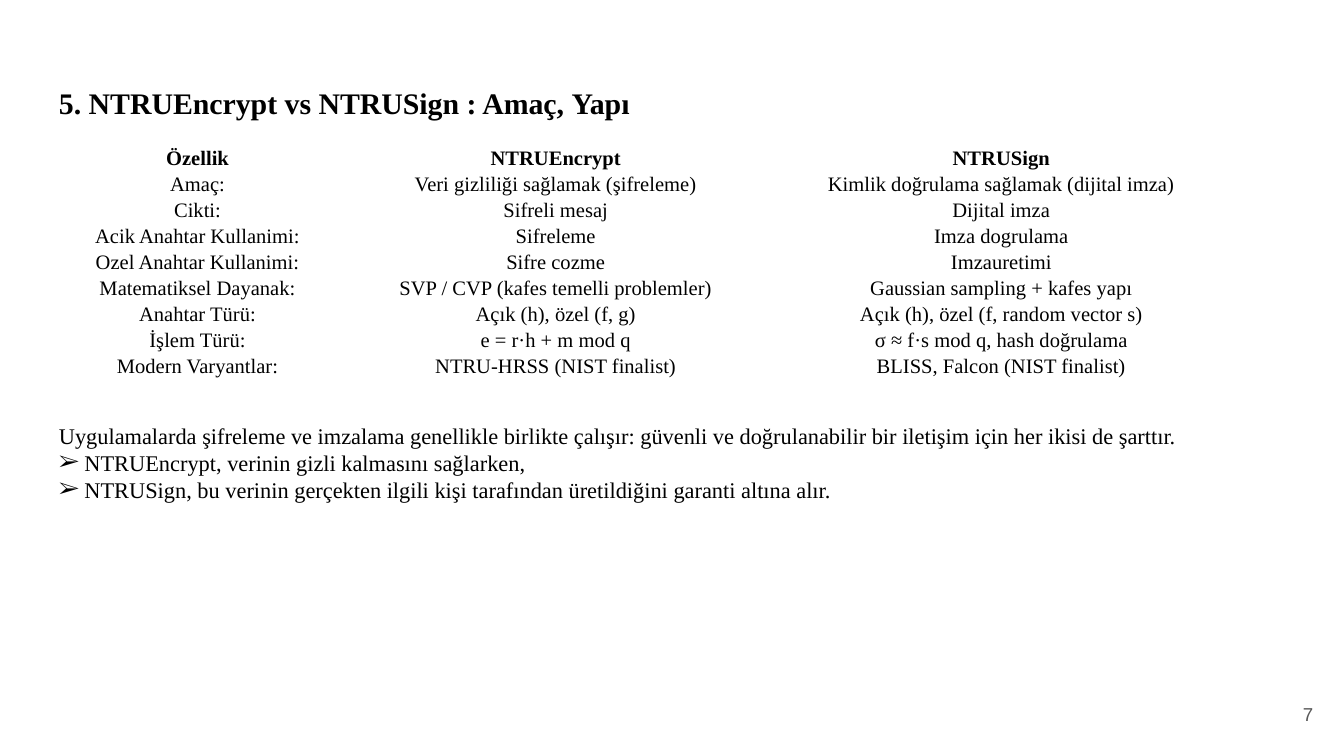
"""Build a slide that compares NTRUEncrypt with NTRUSign."""
from lxml.etree import SubElement
from pptx import Presentation
from pptx.dml.color import RGBColor
from pptx.enum.text import MSO_ANCHOR as Anchor, MSO_AUTO_SIZE as AutoSize, PP_ALIGN as Align
from pptx.oxml.ns import qn
from pptx.util import Inches, Pt

BLACK = RGBColor(0x00, 0x00, 0x00)
GRAY = RGBColor(0x59, 0x59, 0x59)
SERIF = "Times New Roman"
WIDTH = Inches(10)
HEIGHT = WIDTH * 9 // 16
HARD_SPACE = chr(160)
PLAIN_TABLE = "{2D5ABB26-0587-4C30-8999-92F81FD0307C}"

COLUMN_SHARES = (22, 31.3, 35)
ROW_SHARE = 3.2
ROWS = (
    ("Özellik", "NTRUEncrypt", "NTRUSign"),
    ("Amaç:", "Veri gizliliği sağlamak (şifreleme)", "Kimlik doğrulama sağlamak (dijital imza)"),
    ("Cikti:", "Sifreli mesaj", "Dijital imza"),
    ("Acik Anahtar Kullanimi:", "Sifreleme", "Imza dogrulama"),
    ("Ozel Anahtar Kullanimi:", "Sifre cozme", "Imzauretimi"),
    ("Matematiksel Dayanak:", "SVP / CVP (kafes temelli problemler)", "Gaussian sampling + kafes yapı"),
    ("Anahtar Türü:", "Açık (h), özel (f, g)", "Açık (h), özel (f, random vector s)"),
    ("İşlem Türü:", "e = r·h + m mod q", "σ ≈ f·s mod q, hash doğrulama"),
    ("Modern Varyantlar:", "NTRU-HRSS (NIST finalist)", "BLISS, Falcon (NIST finalist)"),
)
SUMMARY = (
    "Uygulamalarda şifreleme ve imzalama genellikle birlikte çalışır: "
    "güvenli ve doğrulanabilir bir iletişim için her ikisi de şarttır."
)
ROLES = (
    "NTRUEncrypt, verinin gizli kalmasını sağlarken,",
    "NTRUSign, bu verinin gerçekten ilgili kişi tarafından üretildiğini garanti altına alır.",
)


def across(share):
    """Turn a percentage of the slide width into a length."""
    return int(WIDTH * share / 100)


def down(share):
    """Turn a percentage of the slide height into a length."""
    return int(HEIGHT * share / 100)


def unbroken(text):
    """Join the words of a text with hard spaces."""
    return text.replace(" ", HARD_SPACE)


def add_bullet(p, char="➢", indent=Inches(0.19)):
    """Give a paragraph a hanging bullet."""
    pPr = p._p.get_or_add_pPr()
    pPr.set("marL", str(indent))
    pPr.set("indent", str(-indent))
    color = SubElement(SubElement(pPr, qn("a:buClr")), qn("a:srgbClr"))
    color.set("val", str(BLACK))
    SubElement(pPr, qn("a:buFont")).set("typeface", SERIF)
    SubElement(pPr, qn("a:buChar")).set("char", char)


def write(p, text, size=12, font=SERIF, color=BLACK, bold=False, align=Align.LEFT, bullet=False):
    """Write formatted text into a paragraph."""
    if bullet:
        add_bullet(p)
    p.alignment = align
    r = p.add_run()
    r.text = text
    r.font.size, r.font.name, r.font.bold = Pt(size), font, bold
    r.font.color.rgb = color


def add_box(slide, x, y, w, h, inset=0.1, anchor=Anchor.TOP, wrap=True):
    """Add a text box placed by slide percentages and return its text frame."""
    tf = slide.shapes.add_textbox(across(x), down(y), across(w), down(h)).text_frame
    tf.word_wrap, tf.vertical_anchor = wrap, anchor
    tf.margin_left = tf.margin_right = Inches(0.1)
    tf.margin_top = tf.margin_bottom = Inches(inset)
    return tf


def add_comparison(slide, x, y):
    """Add the comparison table without fills or borders."""
    w, h = across(sum(COLUMN_SHARES)), down(ROW_SHARE * len(ROWS))
    table = slide.shapes.add_table(
        len(ROWS), len(COLUMN_SHARES), across(x), down(y), w, h
    ).table
    table.first_row = table.horz_banding = False
    table._tbl.tblPr.find(qn("a:tableStyleId")).text = PLAIN_TABLE
    for column, share in zip(table.columns, COLUMN_SHARES):
        column.width = across(share)
    for i, (row, texts) in enumerate(zip(table.rows, ROWS)):
        row.height = down(ROW_SHARE)
        for cell, text in zip(row.cells, texts):
            cell.fill.background()
            cell.vertical_anchor = Anchor.BOTTOM
            cell.margin_left = cell.margin_right = cell.margin_top = Inches(0.01)
            cell.margin_bottom = 0
            write(cell.text_frame.paragraphs[0], text, size=11, bold=i == 0, align=Align.CENTER)


def add_title(slide, text):
    """Add the slide title."""
    p = add_box(slide, 3.4, 8.7, 93.2, 11.2).paragraphs[0]
    p.line_spacing, p.space_after = 1.15, Pt(8)
    write(p, text, size=16, bold=True)


def add_summary(slide):
    """Add the closing sentence and its bulleted roles."""
    tf = add_box(slide, 3.4, 54.95, 87, 12.6, inset=0.05, wrap=False)
    tf.auto_size = AutoSize.SHAPE_TO_FIT_TEXT
    write(tf.paragraphs[0], unbroken(SUMMARY))
    for role in ROLES:
        write(tf.add_paragraph(), unbroken(role), bullet=True)


def add_page_number(slide, number):
    """Add the page number in the lower right corner."""
    tf = add_box(slide, 92.7, 90.67, 6, 7.65, anchor=Anchor.MIDDLE)
    write(tf.paragraphs[0], number, size=10, font="Arial", color=GRAY, align=Align.RIGHT)


def main():
    """Build and save the presentation."""
    prs = Presentation()
    prs.slide_width, prs.slide_height = WIDTH, HEIGHT
    slide = prs.slides.add_slide(prs.slide_layouts[6])
    add_title(slide, "5. NTRUEncrypt vs NTRUSign : Amaç," + unbroken(" Yapı"))
    add_page_number(slide, "7")
    add_comparison(slide, 3.7, 19)
    add_summary(slide)
    prs.save("out.pptx")


if __name__ == "__main__":
    main()
